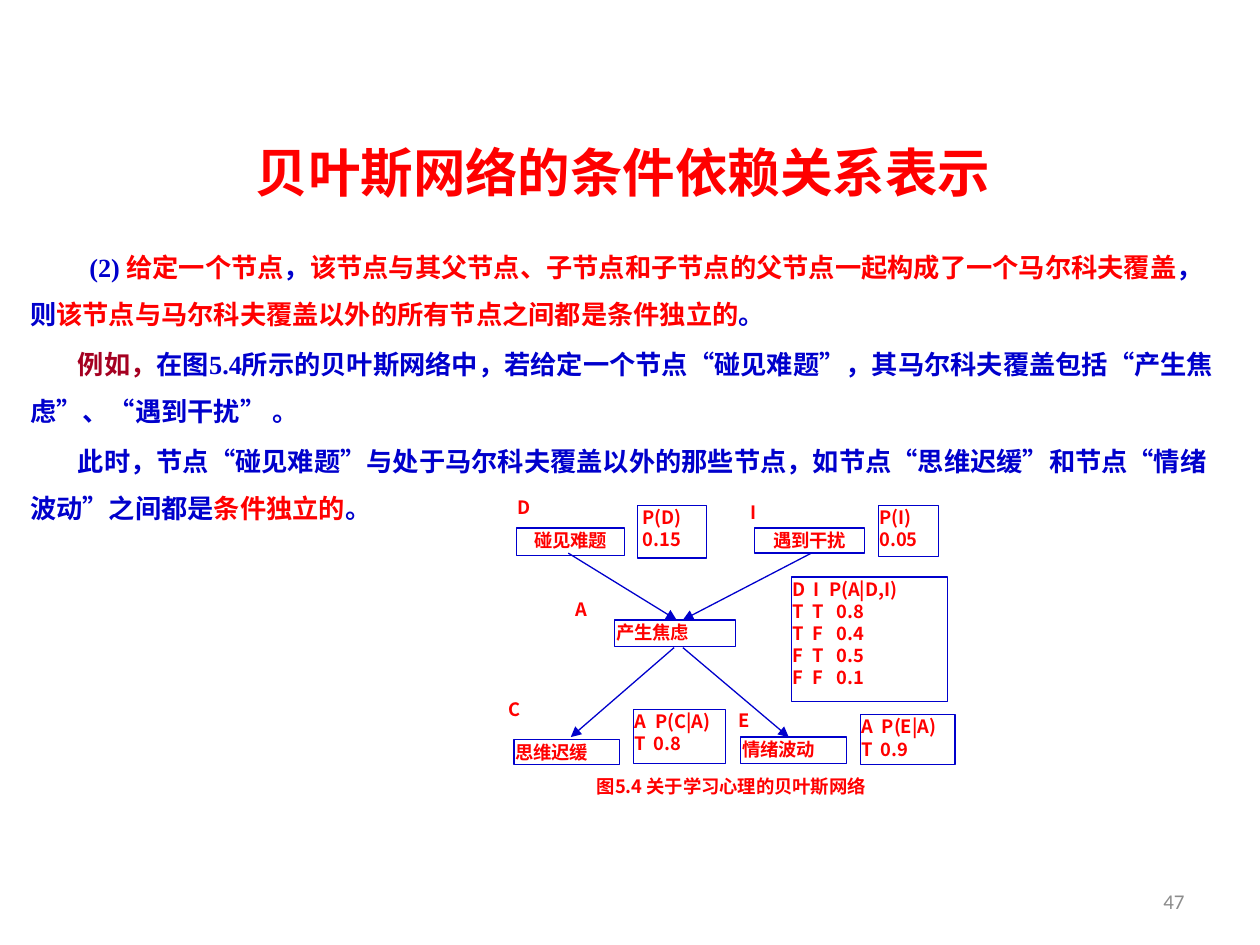
from lxml import etree
from pptx import Presentation
from pptx.dml.color import RGBColor
from pptx.enum import shapes, text
from pptx.oxml.ns import qn
from pptx.util import Inches, Pt

COLORS = {"blue": "0000CC", "red": "FF0000", "wine": "A50021",
          "gray": "8C8C8C", "white": "FFFFFF"}
CJK = "Noto Sans CJK SC"
SERIF = "Times New Roman"
ALIGN = text.PP_ALIGN

TITLE = "贝叶斯网络的条件依赖关系表示"
# Each paragraph: first-line indent, then (text, colour) runs
BODY = [
    (0.47, [("(2) ", "blue"), ("给定一个节点", "red"), ("，", "blue"),
            ("该节点与其父节点、子节点和子节点的父节点一起构成了一个马尔科夫覆盖", "red"),
            ("，则", "blue"),
            ("该节点与马尔科夫覆盖以外的所有节点之间都是条件独立的", "red"),
            ("。", "blue")]),
    (0.38, [("例如，", "wine"),
            ("在图5.4所示的贝叶斯网络中，若给定一个节点“碰见难题”，"
             "其马尔科夫覆盖包括“产生焦虑”、“遇到干扰” 。", "blue")]),
    (0.38, [("此时，节点“碰见难题”与处于马尔科夫覆盖以外的那些节点，"
             "如节点“思维迟缓”和节点“情绪波动”之间都是", "blue"),
            ("条件独立的", "red"), ("。", "blue")]),
]
# Network nodes: text, position and size, alignment
NODES = [
    ("碰见难题", (4.1, 4.19, 0.86, 0.22), ALIGN.CENTER),
    ("产生焦虑", (4.88, 4.92, 0.96, 0.21), ALIGN.JUSTIFY),
    ("遇到干扰", (5.99, 4.19, 0.87, 0.2), ALIGN.CENTER),
    ("思维迟缓", (4.08, 5.87, 0.84, 0.2), ALIGN.JUSTIFY),
    ("情绪波动", (5.88, 5.85, 0.84, 0.21), ALIGN.JUSTIFY),
]
LABELS = [
    ("A", (4.56, 4.74, 0.2, 0.21)),
    ("D", (4.1, 3.93, 0.16, 0.21)),
    ("I", (5.95, 3.97, 0.13, 0.18)),
    ("E", (5.85, 5.62, 0.13, 0.18)),
    ("C", (4.03, 5.53, 0.2, 0.2)),
]
ARROWS = [
    ((4.51, 4.39), (5.37, 4.92)),
    ((6.44, 4.39), (5.42, 4.92)),
    ((5.35, 5.14), (4.53, 5.85)),
    ((5.42, 5.14), (6.26, 5.85)),
]
CAPTION = ("图5.4 关于学习心理的贝叶斯网络", (4.44, 6.14, 2.73, 0.18))
# Probability boxes: rows of cells, position and size, left inset,
# tab stops of the heading, tab stops of the other rows
PROBABILITIES = [
    ([("A", "P(C|A)"), ("T", "0.8")], (5.03, 5.63, 0.73, 0.43), 0.01, [0.16], [0.15]),
    ([("A", "P(E|A)"), ("T", "0.9")], (6.83, 5.67, 0.75, 0.4), 0.01, [0.16], [0.15]),
    ([("P(D)",), ("0.15",)], (5.06, 4.01, 0.55, 0.42), 0.04, [], []),
    ([("P(I)",), ("0.05",)], (6.97, 4.01, 0.48, 0.41), 0.01, [], []),
    ([("D", "I", "P(A|D,I)"), ("T", "T", "0.8"), ("T", "F", "0.4"),
      ("F", "T", "0.5"), ("F", "F", "0.1")],
     (6.28, 4.58, 1.24, 0.99), 0.01, [0.17, 0.29], [0.16, 0.35]),
]


def rgb(name):
    return RGBColor.from_string(COLORS[name])


def style(paragraph, size, font, color, bold=True, align=ALIGN.LEFT):
    paragraph.alignment = align
    paragraph.font.size = Pt(size)
    paragraph.font.bold = bold
    paragraph.font.color.rgb = rgb(color)
    paragraph.font.name = font
    defaults = paragraph._p.pPr.find(qn("a:defRPr"))
    etree.SubElement(defaults, qn("a:ea")).set("typeface", CJK)


def add_tabs(paragraph, stops):
    tabs = etree.SubElement(paragraph._p.get_or_add_pPr(), qn("a:tabLst"))
    for stop in stops:
        tab = etree.SubElement(tabs, qn("a:tab"))
        tab.set("pos", str(Inches(stop)))
        tab.set("algn", "l")


def add_text_box(slide, place):
    frame = slide.shapes.add_textbox(*map(Inches, place)).text_frame
    frame.word_wrap = True
    return frame


def add_box(slide, rows, place, align=ALIGN.JUSTIFY, outlined=True,
            inset=0.01, heading_tabs=(), row_tabs=()):
    shape = slide.shapes.add_shape(shapes.MSO_SHAPE.RECTANGLE, *map(Inches, place))
    shape.shadow.inherit = False
    shape.fill.solid()
    shape.fill.fore_color.rgb = rgb("white")
    if outlined:
        shape.line.color.rgb = rgb("blue")
        shape.line.width = Pt(0.75)
    else:
        shape.line.fill.background()
    frame = shape.text_frame
    frame.word_wrap = True
    frame.vertical_anchor = text.MSO_ANCHOR.TOP
    frame.margin_left = Inches(inset)
    frame.margin_top = frame.margin_right = frame.margin_bottom = Inches(0.01)
    for index, cells in enumerate(rows):
        paragraph = frame.add_paragraph() if index else frame.paragraphs[0]
        stops = row_tabs if index else heading_tabs
        if stops:
            add_tabs(paragraph, stops)
        paragraph.add_run().text = "\t".join(cells)
        style(paragraph, 10.5, CJK, "red", align=align)


def add_arrow(slide, start, end):
    connector = slide.shapes.add_connector(
        shapes.MSO_CONNECTOR.STRAIGHT, *map(Inches, start + end))
    connector.line.color.rgb = rgb("blue")
    connector.line.width = Pt(0.75)
    line = connector.line._get_or_add_ln()
    etree.SubElement(line, qn("a:tailEnd")).set("type", "triangle")
    etree.SubElement(connector._element.spPr, qn("a:effectLst"))


def main():
    presentation = Presentation()
    presentation.slide_width, presentation.slide_height = Inches(10), Inches(7.5)
    slide = presentation.slides.add_slide(presentation.slide_layouts[6])

    # Slide number
    frame = add_text_box(slide, (7.17, 6.95, 2.33, 0.4))
    frame.vertical_anchor = text.MSO_ANCHOR.MIDDLE
    frame.text = "47"
    style(frame.paragraphs[0], 12, "Calibri", "gray", False, ALIGN.RIGHT)

    # Body
    frame = add_text_box(slide, (0.14, 1.82, 9.61, 2.38))
    for index, (indent, runs) in enumerate(BODY):
        paragraph = frame.add_paragraph() if index else frame.paragraphs[0]
        paragraph._p.get_or_add_pPr().set("indent", str(Inches(indent)))
        paragraph.line_spacing = 1.5
        paragraph.space_after = Pt(1.5)
        style(paragraph, 15, SERIF, "blue")
        for words, color in runs:
            run = paragraph.add_run()
            run.text = words
            run.font.color.rgb = rgb(color)

    # Title
    frame = add_text_box(slide, (0.67, 1.06, 8.55, 0.61))
    frame.text = TITLE
    style(frame.paragraphs[0], 30, SERIF, "red", align=ALIGN.CENTER)

    # Bayesian network
    for name, place, align in NODES:
        add_box(slide, [(name,)], place, align)
    for name, place in LABELS:
        add_box(slide, [(name,)], place, outlined=False)
    for start, end in ARROWS:
        add_arrow(slide, start, end)
    caption, place = CAPTION
    add_box(slide, [(caption,)], place, ALIGN.CENTER, outlined=False)
    for rows, place, inset, heading_tabs, row_tabs in PROBABILITIES:
        add_box(slide, rows, place, inset=inset,
                heading_tabs=heading_tabs, row_tabs=row_tabs)

    presentation.save("out.pptx")


if __name__ == "__main__":
    main()
